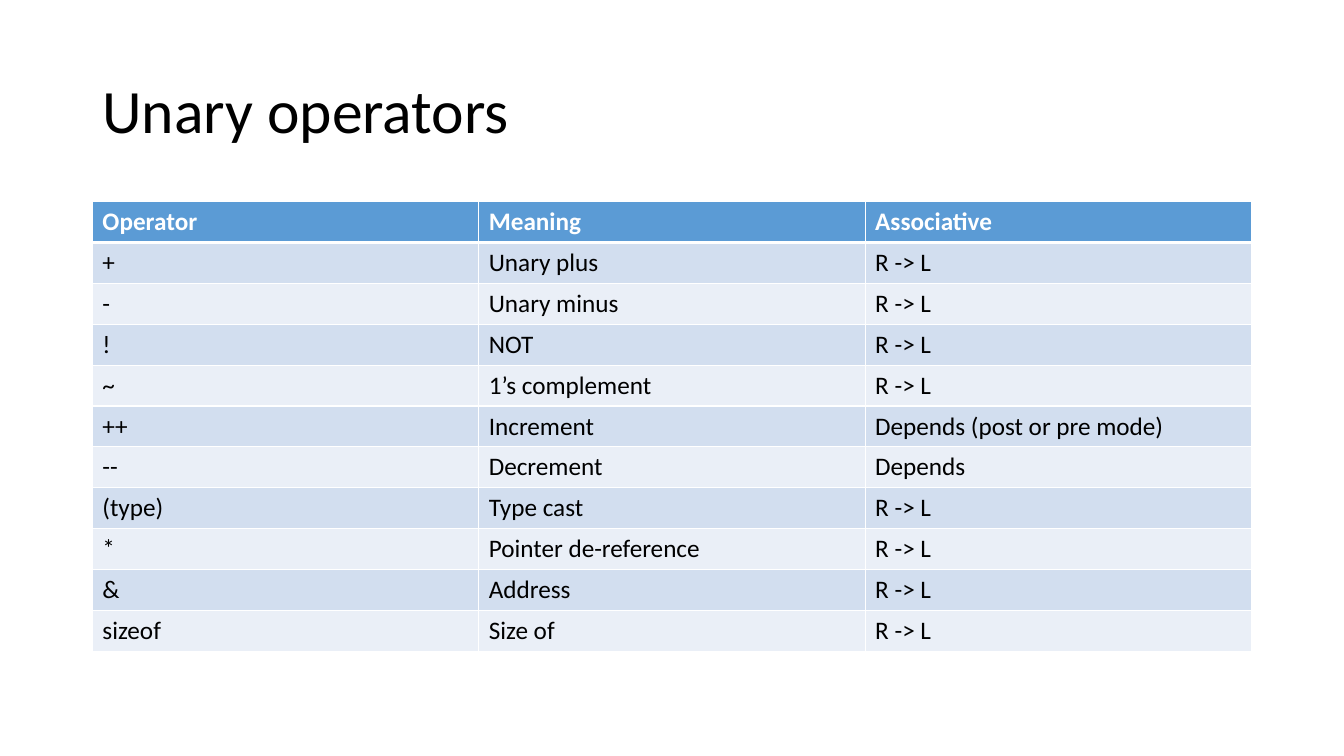
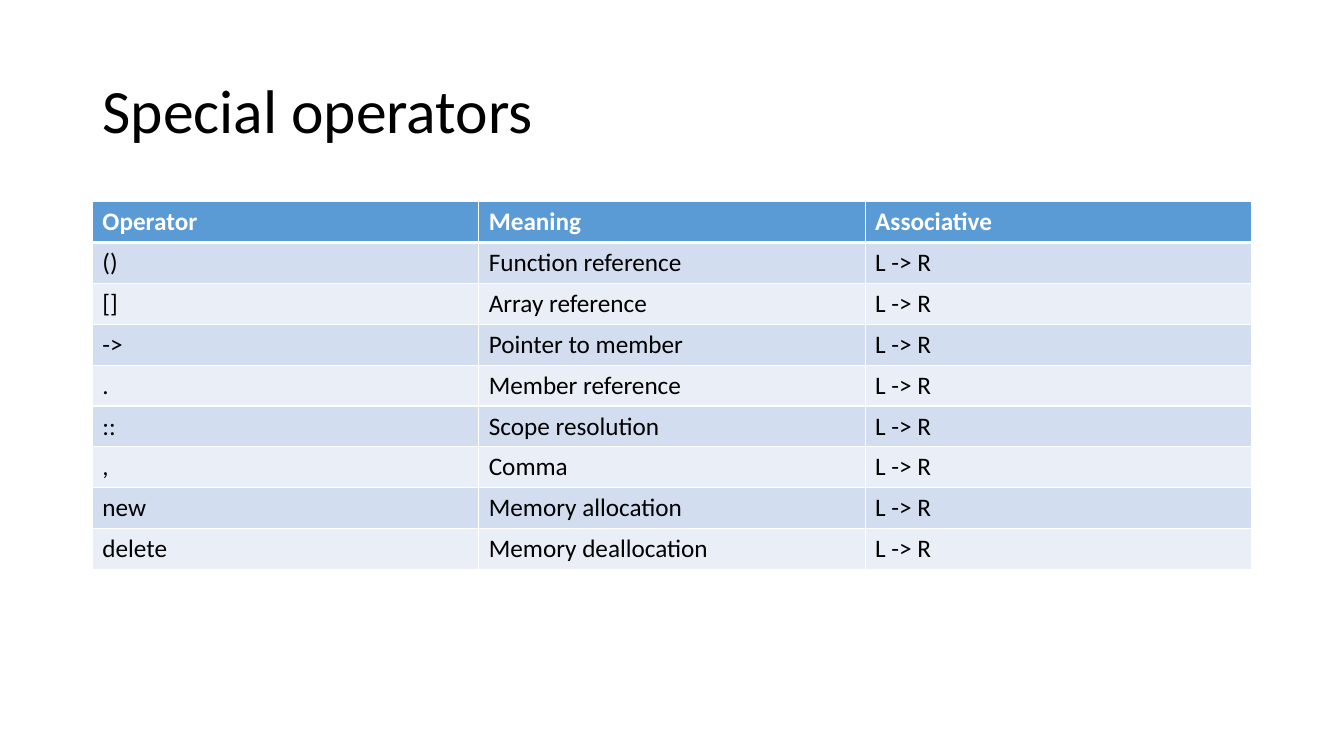
from lxml import etree
from pptx import Presentation
from pptx.dml.color import RGBColor
from pptx.enum.text import MSO_ANCHOR, PP_ALIGN
from pptx.oxml.ns import qn
from pptx.util import Pt

LEFT = PP_ALIGN.LEFT
MIDDLE = MSO_ANCHOR.MIDDLE

HEAD = ("Operator", "Meaning", "Associative")
RIGHT_LEFT = "R -> L"
LEFT_RIGHT = "L -> R"

SLIDES = [
    ("Unary operators", [
        ("+", "Unary plus", RIGHT_LEFT),
        ("-", "Unary minus", RIGHT_LEFT),
        ("!", "NOT", RIGHT_LEFT),
        ("~", "1’s complement", RIGHT_LEFT),
        ("++", "Increment", "Depends (post or pre mode)"),
        ("--", "Decrement", "Depends"),
        ("(type)", "Type cast", RIGHT_LEFT),
        ("*", "Pointer de-reference", RIGHT_LEFT),
        ("&", "Address", RIGHT_LEFT),
        ("sizeof", "Size of", RIGHT_LEFT),
    ]),
    ("Special operators", [
        ("()", "Function reference", LEFT_RIGHT),
        ("[]", "Array reference", LEFT_RIGHT),
        ("->", "Pointer to member", LEFT_RIGHT),
        (".", "Member reference", LEFT_RIGHT),
        ("::", "Scope resolution", LEFT_RIGHT),
        (",", "Comma", LEFT_RIGHT),
        ("new", "Memory allocation", LEFT_RIGHT),
        ("delete", "Memory deallocation", LEFT_RIGHT),
    ]),
]

COLORS = {"text": "000000", "white": "FFFFFF", "head": "5B9BD5",
          "odd": "D2DEEF", "even": "EAEFF7"}
FONTS = {
    "title": {"name": "Calibri", "size": Pt(44), "bold": False},
    "head": {"name": "Calibri", "size": Pt(18), "bold": True},
    "body": {"name": "Calibri", "size": Pt(18), "bold": False},
}
MARGIN, WIDTH = 66, 828
TITLE_TOP, TITLE_HEIGHT = 28.75, 104.4
TABLE_TOP, ROW_HEIGHT = 144, 29.2
THIN, THICK = 1, 3


def style(font, kind, color):
    for name, value in FONTS[kind].items():
        setattr(font, name, value)
    font.color.rgb = RGBColor.from_string(COLORS[color])


def add_title(slide, text):
    title = slide.shapes.title
    title.left, title.top = Pt(MARGIN), Pt(TITLE_TOP)
    title.width, title.height = Pt(WIDTH), Pt(TITLE_HEIGHT)
    title.text = text
    title.text_frame.vertical_anchor = MIDDLE
    line = title.text_frame.paragraphs[0]
    line.alignment = LEFT
    line.line_spacing = 0.9
    style(line.font, "title", "text")


def set_borders(cell, top, bottom):
    props = cell._tc.get_or_add_tcPr()
    for side, width in zip("LRTB", (THIN, THIN, top, bottom)):
        edge = etree.SubElement(props, qn(f"a:ln{side}"), w=str(Pt(width)))
        fill = etree.SubElement(edge, qn("a:solidFill"))
        etree.SubElement(fill, qn("a:srgbClr"), val=COLORS["white"])


def fill_cell(cell, text, row):
    """Format a cell by its row: header first, then alternating bands."""
    head = row == 0
    set_borders(cell, THICK if row == 1 else THIN, THICK if head else THIN)
    band = "head" if head else "odd" if row % 2 else "even"
    cell.fill.solid()
    cell.fill.fore_color.rgb = RGBColor.from_string(COLORS[band])
    cell.text = text
    style(cell.text_frame.paragraphs[0].font,
          "head" if head else "body", "white" if head else "text")


def add_table(slide, rows):
    table = slide.shapes.add_table(
        len(rows), len(HEAD), Pt(MARGIN), Pt(TABLE_TOP),
        Pt(WIDTH), Pt(ROW_HEIGHT * len(rows))).table
    for r, texts in enumerate(rows):
        table.rows[r].height = Pt(ROW_HEIGHT)
        for c, text in enumerate(texts):
            fill_cell(table.cell(r, c), text, r)


def main():
    deck = Presentation()
    deck.slide_width, deck.slide_height = Pt(960), Pt(540)
    layout = deck.slide_layouts.get_by_name("Title Only")
    for title, rows in SLIDES:
        slide = deck.slides.add_slide(layout)
        add_title(slide, title)
        add_table(slide, [HEAD, *rows])
    deck.save("out.pptx")


if __name__ == "__main__":
    main()
